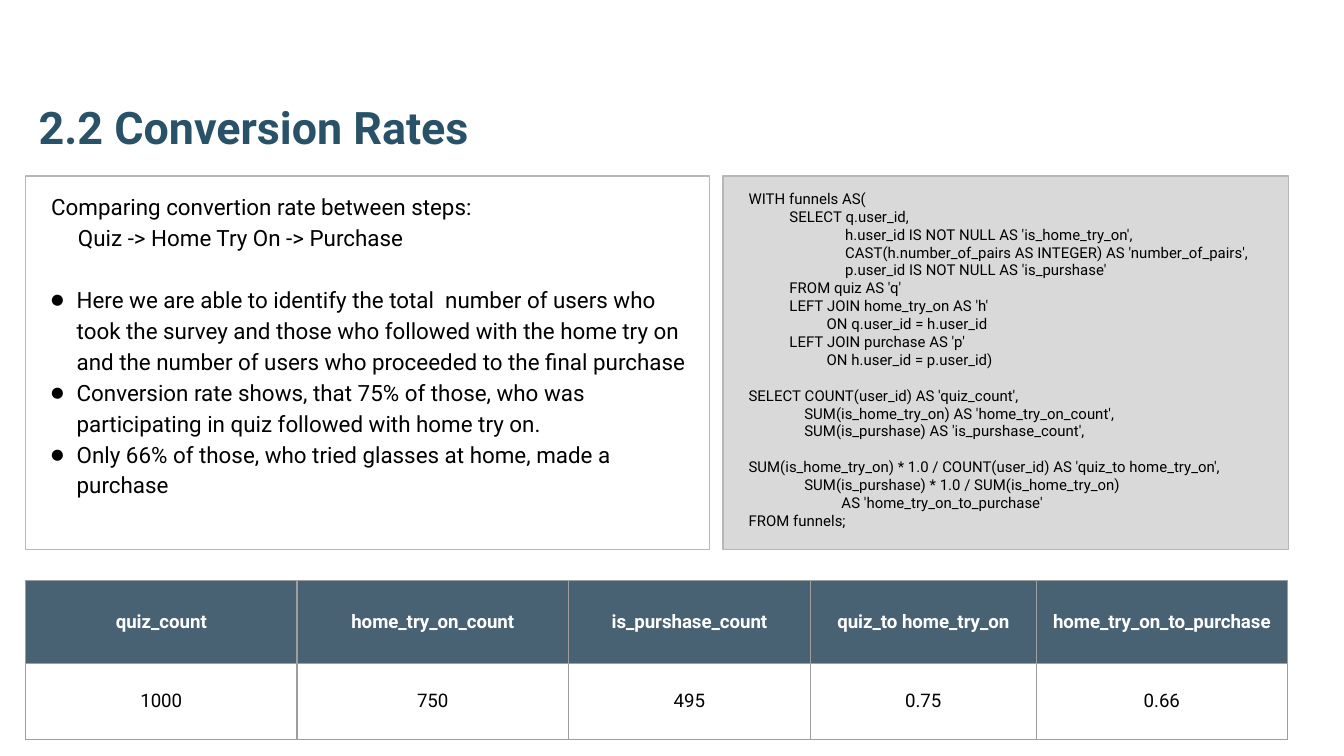
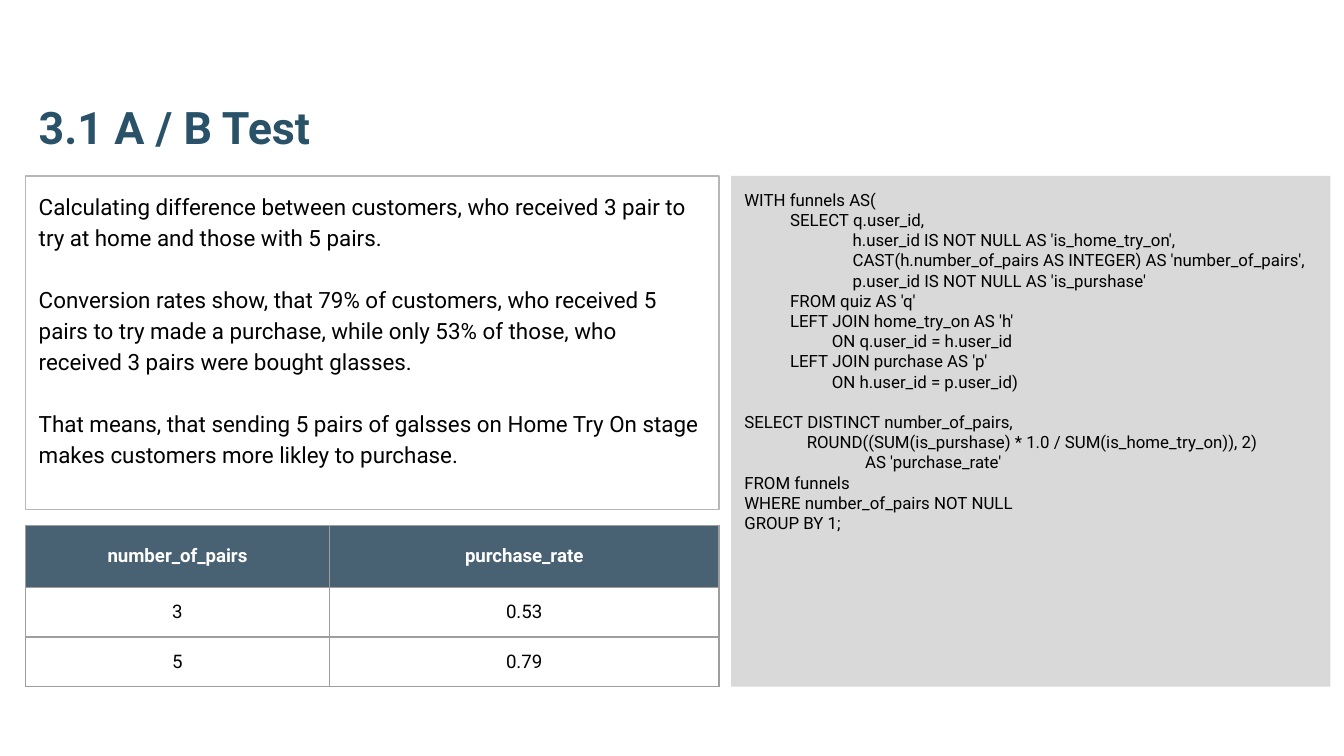
from dataclasses import dataclass

from lxml import etree
from pptx import Presentation
from pptx import util as u
from pptx.dml.color import RGBColor
from pptx.enum import shapes, text
from pptx.oxml.ns import qn

SLIDE_WIDTH = 10
SLIDE_HEIGHT = SLIDE_WIDTH * 9 / 16

FONT = "Roboto"
TITLE_BLUE = RGBColor(0x29, 0x52, 0x69)
HEADER_BLUE = RGBColor(0x20, 0x40, 0x56)
HEADER_OPACITY = 82
CODE_GREY = RGBColor(0xD9, 0xD9, 0xD9)
PANEL_LINE = RGBColor(0xB7, 0xB7, 0xB7)
TABLE_LINE = RGBColor(0x9E, 0x9E, 0x9E)
BLACK = RGBColor(0, 0, 0)
WHITE = RGBColor(0xFF, 0xFF, 0xFF)

LEFT = 0.19
PANEL_TOP = 1.31
INSET = 0.1
WIDE_INSET = 0.19
BODY_SIZE = 12
BODY_SPACING = 1.15
BULLET_PERCENT = 65
LINE_HEIGHT = 1.2
NO_BREAK_SPACE = chr(160)


@dataclass
class Body:
    """One body paragraph; gap is the number of empty lines above it."""
    words: str
    bullet: bool = False
    indent: float = 0
    gap: int = 0


CONVERSION_TEXT = [
    Body("Comparing convertion rate between steps:"),
    Body("Quiz -> Home Try On -> Purchase", indent=0.2),
    Body(f"Here we are able to identify the total{NO_BREAK_SPACE} number of users "
         "who took the survey and those who followed with the home try on and the "
         "number of users who proceeded to the final purchase", bullet=True, gap=1),
    Body("Conversion rate shows, that 75% of those, who was participating in "
         "quiz followed with home try on.", bullet=True),
    Body("Only 66% of those, who tried glasses at home, made a purchase",
         bullet=True),
]

TEST_TEXT = [
    Body("Calculating difference between customers, who received 3 pair to try "
         "at home and those with 5 pairs."),
    Body("Conversion rates show, that 79% of customers, who received 5 pairs to "
         "try made a purchase, while only 53% of those, who received 3 pairs "
         "were bought glasses.", gap=1),
    Body("That means, that sending 5 pairs of galsses on Home Try On stage makes "
         "customers more likley to purchase.", gap=1),
]

FUNNELS_QUERY = """\
WITH funnels AS(
           SELECT q.user_id,
                          h.user_id IS NOT NULL AS 'is_home_try_on',
                          CAST(h.number_of_pairs AS INTEGER) AS 'number_of_pairs',
                          p.user_id IS NOT NULL AS 'is_purshase'
           FROM quiz AS 'q'
           LEFT JOIN home_try_on AS 'h'
                     ON q.user_id = h.user_id
           LEFT JOIN purchase AS 'p'
                     ON h.user_id = p.user_id)

"""

CONVERSION_QUERY = FUNNELS_QUERY + """\
SELECT COUNT(user_id) AS 'quiz_count',
               SUM(is_home_try_on) AS 'home_try_on_count',
               SUM(is_purshase) AS 'is_purshase_count',
               SUM(is_home_try_on) * 1.0 / COUNT(user_id) AS 'quiz_to home_try_on',
               SUM(is_purshase) * 1.0 / SUM(is_home_try_on)
                         AS 'home_try_on_to_purchase'
FROM funnels;"""

TEST_QUERY = FUNNELS_QUERY + """\
SELECT DISTINCT number_of_pairs,
               ROUND((SUM(is_purshase) * 1.0 / SUM(is_home_try_on)), 2)
                             AS 'purchase_rate'
FROM funnels
WHERE number_of_pairs NOT NULL
GROUP BY 1;"""


def add_run(paragraph, words, size, color=BLACK, bold=False):
    run = paragraph.add_run()
    run.text = words
    run.font.name = FONT
    run.font.size = u.Pt(size)
    run.font.bold = bold
    run.font.color.rgb = color


def add_paragraphs(frame, count):
    return [frame.paragraphs[0]] + [frame.add_paragraph() for _ in range(count - 1)]


def set_frame(frame, anchor, left_inset=INSET):
    frame.word_wrap = True
    frame.vertical_anchor = anchor
    frame.margin_left = u.Inches(left_inset)
    frame.margin_right = frame.margin_top = frame.margin_bottom = u.Inches(INSET)


def add_title(slide, words):
    box = slide.shapes.add_textbox(
        u.Inches(LEFT), u.Inches(0.32), u.Inches(9.46), u.Inches(0.92))
    set_frame(box.text_frame, text.MSO_ANCHOR.BOTTOM)
    add_run(box.text_frame.paragraphs[0], words, 24, TITLE_BLUE, bold=True)


def add_panel(slide, left, width, height, left_inset, fill=None, outlined=True):
    """Add an empty rectangle below the title and return its text frame."""
    panel = slide.shapes.add_shape(
        shapes.MSO_SHAPE.RECTANGLE, u.Inches(left), u.Inches(PANEL_TOP),
        u.Inches(width), u.Inches(height))
    panel.shadow.inherit = False
    if fill is None:
        panel.fill.background()
    else:
        panel.fill.solid()
        panel.fill.fore_color.rgb = fill
    if outlined:
        panel.line.color.rgb = PANEL_LINE
        panel.line.width = u.Pt(0.75)
    else:
        panel.line.fill.background()
    set_frame(panel.text_frame, text.MSO_ANCHOR.TOP, left_inset)
    return panel.text_frame


def set_indent(paragraph, margin, bullet):
    properties = paragraph._p.get_or_add_pPr()
    properties.set("marL", str(u.Inches(margin)))
    properties.set("indent", str(-u.Inches(margin) if bullet else 0))
    if bullet:
        color = etree.SubElement(properties, qn("a:buClr"))
        etree.SubElement(color, qn("a:srgbClr"), val=str(BLACK))
        etree.SubElement(properties, qn("a:buSzPct"), val=str(BULLET_PERCENT * 1000))
        etree.SubElement(properties, qn("a:buFont"), typeface=FONT)
        etree.SubElement(properties, qn("a:buChar"), char="●")


def write_body(frame, body):
    for paragraph, item in zip(add_paragraphs(frame, len(body)), body):
        set_indent(paragraph, WIDE_INSET if item.bullet else item.indent, item.bullet)
        paragraph.alignment = text.PP_ALIGN.LEFT
        paragraph.line_spacing = BODY_SPACING
        if item.gap:
            paragraph.space_before = u.Pt(
                item.gap * BODY_SIZE * LINE_HEIGHT * BODY_SPACING)
        add_run(paragraph, item.words, BODY_SIZE)


def write_code(frame, query, size):
    """Write code lines that break only after their indent."""
    lines = query.splitlines()
    filled = [number for number, line in enumerate(lines) if line]
    previous = -1
    for paragraph, number in zip(add_paragraphs(frame, len(filled)), filled):
        code = lines[number].lstrip()
        indent = lines[number][:-len(code)]
        if code.endswith(","):
            code += " "
        paragraph.alignment = text.PP_ALIGN.LEFT
        if number - previous > 1:
            paragraph.space_before = u.Pt((number - previous - 1) * size * LINE_HEIGHT)
        add_run(paragraph, indent + code.replace(" ", NO_BREAK_SPACE), size)
        previous = number


def set_borders(cell):
    properties = cell._tc.get_or_add_tcPr()
    for position, side in enumerate(("lnL", "lnR", "lnT", "lnB")):
        line = etree.Element(qn(f"a:{side}"), w=str(u.Pt(0.75)))
        fill = etree.SubElement(line, qn("a:solidFill"))
        etree.SubElement(fill, qn("a:srgbClr"), val=str(TABLE_LINE))
        properties.insert(position, line)


def fill_header(cell):
    cell.fill.solid()
    cell.fill.fore_color.rgb = HEADER_BLUE
    color = cell._tc.tcPr.find(".//" + qn("a:srgbClr"))
    etree.SubElement(color, qn("a:alpha"), val=str(HEADER_OPACITY * 1000))


def add_result_table(slide, top, widths, heights, rows):
    table = slide.shapes.add_table(
        len(rows), len(widths), u.Inches(LEFT), u.Inches(top),
        u.Inches(sum(widths)), u.Inches(sum(heights))).table
    table.horz_banding = False
    for column, width in zip(table.columns, widths):
        column.width = u.Inches(width)
    for row, height in zip(table.rows, heights):
        row.height = u.Inches(height)
    for row_number, values in enumerate(rows):
        header = row_number == 0
        for column_number, value in enumerate(values):
            cell = table.cell(row_number, column_number)
            if header:
                fill_header(cell)
            else:
                cell.fill.background()
            set_borders(cell)
            cell.vertical_anchor = text.MSO_ANCHOR.MIDDLE
            paragraph = cell.text_frame.paragraphs[0]
            paragraph.alignment = text.PP_ALIGN.CENTER
            add_run(paragraph, value, 10, WHITE if header else BLACK, bold=header)


def add_slide(presentation, title):
    slide = presentation.slides.add_slide(presentation.slide_layouts[6])
    add_title(slide, title)
    return slide


def add_conversion_slide(presentation):
    slide = add_slide(presentation, "2.2 Conversion Rates")
    write_body(add_panel(slide, LEFT, 5.09, 2.78, WIDE_INSET), CONVERSION_TEXT)
    add_result_table(
        slide, 4.32, [2.02, 2.02, 1.8, 1.68, 1.87], [0.62, 0.56],
        [["quiz_count", "home_try_on_count", "is_purshase_count",
          "quiz_to home_try_on", "home_try_on_to_purchase"],
         ["1000", "750", "495", "0.75", "0.66"]])
    code = add_panel(slide, 5.38, 4.21, 2.78, WIDE_INSET, CODE_GREY)
    write_code(code, CONVERSION_QUERY, 8)


def add_test_slide(presentation):
    slide = add_slide(presentation, "3.1 A / B Test")
    code = add_panel(slide, 5.44, 4.46, 3.8, INSET, CODE_GREY, outlined=False)
    write_code(code, TEST_QUERY, 9)
    write_body(add_panel(slide, LEFT, 5.16, 2.48, INSET), TEST_TEXT)
    add_result_table(
        slide, 3.91, [2.26, 2.9], [0.46, 0.37, 0.37],
        [["number_of_pairs", "purchase_rate"], ["3", "0.53"], ["5", "0.79"]])


def main():
    presentation = Presentation()
    presentation.slide_width = u.Inches(SLIDE_WIDTH)
    presentation.slide_height = u.Inches(SLIDE_HEIGHT)
    add_conversion_slide(presentation)
    add_test_slide(presentation)
    presentation.save("out.pptx")


if __name__ == "__main__":
    main()
